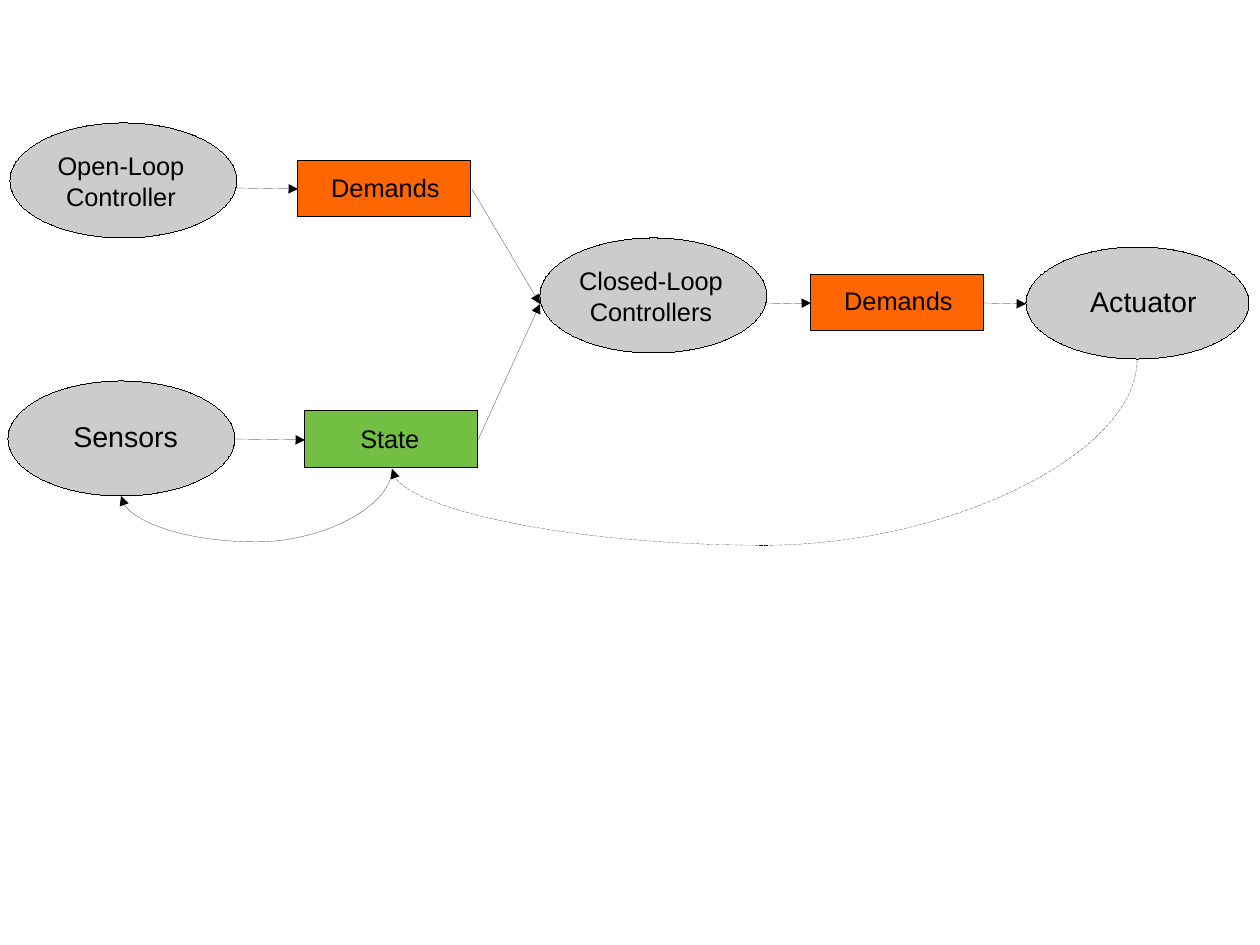
import pptx
import pptx.util
import pptx.dml.color
import pptx.enum.dml
import pptx.enum.shapes
import pptx.enum.text
import pptx.oxml.ns
from lxml import etree

SHAPE = pptx.enum.shapes.MSO_SHAPE
LINK = pptx.enum.shapes.MSO_CONNECTOR
DASH = pptx.enum.dml.MSO_LINE
ALIGN = pptx.enum.text.PP_ALIGN


class Theme:
    ink = pptx.dml.color.RGBColor.from_string("000000")
    gray = pptx.dml.color.RGBColor.from_string("CCCCCC")
    orange = pptx.dml.color.RGBColor.from_string("FF6600")
    green = pptx.dml.color.RGBColor.from_string("72BF44")
    font = "Arial"
    small = pptx.util.Pt(16)
    large = pptx.util.Pt(18)
    hair = pptx.util.Emu(1)


def px(count):
    return pptx.util.Emu(round(count * 8000))


def apply(target, values):
    for name, value in values.items():
        setattr(target, name, value)


def add(parent, tag, **attrs):
    return etree.SubElement(parent, pptx.oxml.ns.qn(tag), attrs)


class Chart:
    def __init__(self, slide, theme):
        self.slide = slide
        self.theme = theme

    def label(self, group, box, text, size, align):
        frame = group.shapes.add_textbox(*map(px, box)).text_frame
        apply(frame, {"text": text, "word_wrap": True})
        para = frame.paragraphs[0]
        para.alignment = align
        font = para.runs[0].font
        apply(font, {"name": self.theme.font, "size": size})
        font.color.rgb = self.theme.ink

    def node(self, kind, box, color, inner, text, size, align=ALIGN.LEFT):
        group = self.slide.shapes.add_group_shape()
        shape = group.shapes.add_shape(kind, *map(px, box))
        shape.shadow.inherit = False
        shape.fill.solid()
        shape.fill.fore_color.rgb = color
        shape.line.color.rgb = self.theme.ink
        shape.line.width = self.theme.hair
        self.label(group, inner, text, size, align)

    def pair(self, left, top, text):
        self.node(SHAPE.OVAL, (left, top, 227, 115), self.theme.gray,
                  (left + 14, top + 22, 194, 109), text,
                  self.theme.small, ALIGN.CENTER)

    def oval(self, box, inner, text):
        self.node(SHAPE.OVAL, box, self.theme.gray, inner, text,
                  self.theme.large)

    def block(self, left, top, color, inset, width, text):
        self.node(SHAPE.RECTANGLE, (left, top, 173, 57), color,
                  (left + inset, top + 6, width, 39), text,
                  self.theme.small)

    def arrow(self, ends, kind=LINK.STRAIGHT, dash=None):
        link = self.slide.shapes.add_connector(kind, *map(px, ends))
        link.line.color.rgb = self.theme.ink
        apply(link.line, {"width": self.theme.hair, "dash_style": dash})
        props = link._element.spPr
        add(props.find(pptx.oxml.ns.qn("a:ln")), "a:tailEnd", type="triangle")
        add(props, "a:effectLst")
        return link

    def loop(self, ends, bend, dash=None):
        x1, y1, x2, y2 = ends
        mid_x, mid_y = (x1 + x2) / 2, (y1 + y2) / 2
        half_w, half_h = (y2 - y1) / 2, (x1 - x2) / 2
        link = self.arrow((mid_x - half_w, mid_y - half_h,
                           mid_x + half_w, mid_y + half_h), LINK.CURVE, dash)
        props = link._element.spPr
        props.find(pptx.oxml.ns.qn("a:xfrm")).set("rot", "5400000")
        guides = props.find(".//" + pptx.oxml.ns.qn("a:avLst"))
        add(guides, "a:gd", name="adj1", fmla=f"val {bend * 1000}")


def main():
    deck = pptx.Presentation()
    apply(deck, {"slide_width": px(1260), "slide_height": px(945)})
    theme = Theme()
    chart = Chart(deck.slides.add_slide(deck.slide_layouts[6]), theme)

    chart.oval((1026, 247, 223, 112), (1079, 278, 146, 39), "Actuator")
    for left, top, color, inset, width, text in (
        (298, 160, theme.orange, 22, 144, "Demands"),
        (811, 274, theme.orange, 22, 144, "Demands"),
        (305, 411, theme.green, 44, 84, "State"),
    ):
        chart.block(left, top, color, inset, width, text)
    chart.oval((8, 381, 227, 115), (62, 413, 149, 40), "Sensors")
    chart.pair(10, 123, "Open-Loop Controller")
    chart.pair(540, 238, "Closed-Loop Controllers")

    for ends in (
        (237, 188, 298, 189),
        (235, 439, 305, 440),
        (472, 189, 540, 304),
        (478, 440, 540, 304),
        (766, 304, 811, 303),
        (984, 303, 1026, 304),
    ):
        chart.arrow(ends)

    chart.loop((1137, 360, 392, 469), 170, DASH.SQUARE_DOT)
    chart.loop((392, 469, 121, 496), 270)
    deck.save("out.pptx")


if __name__ == "__main__":
    main()
